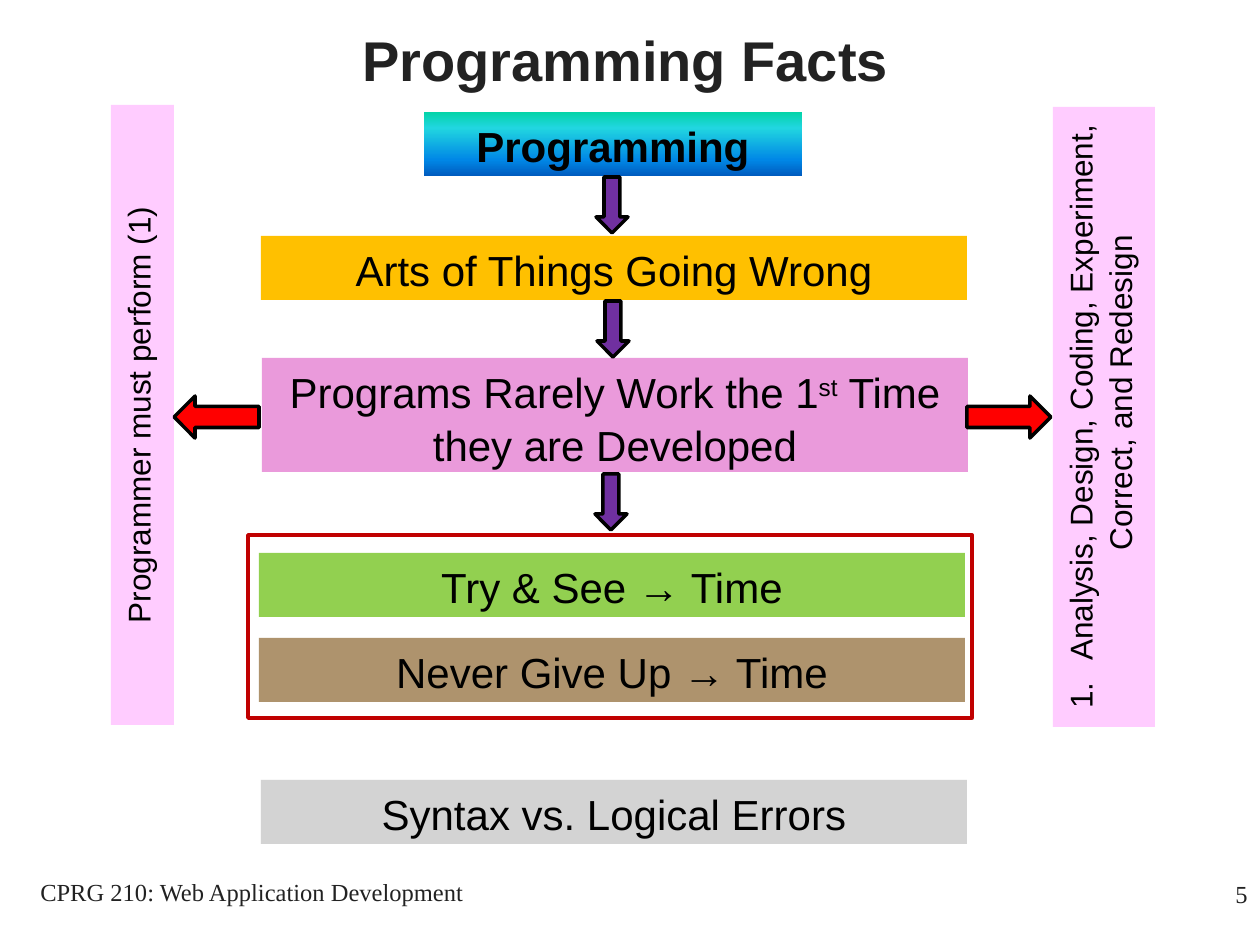
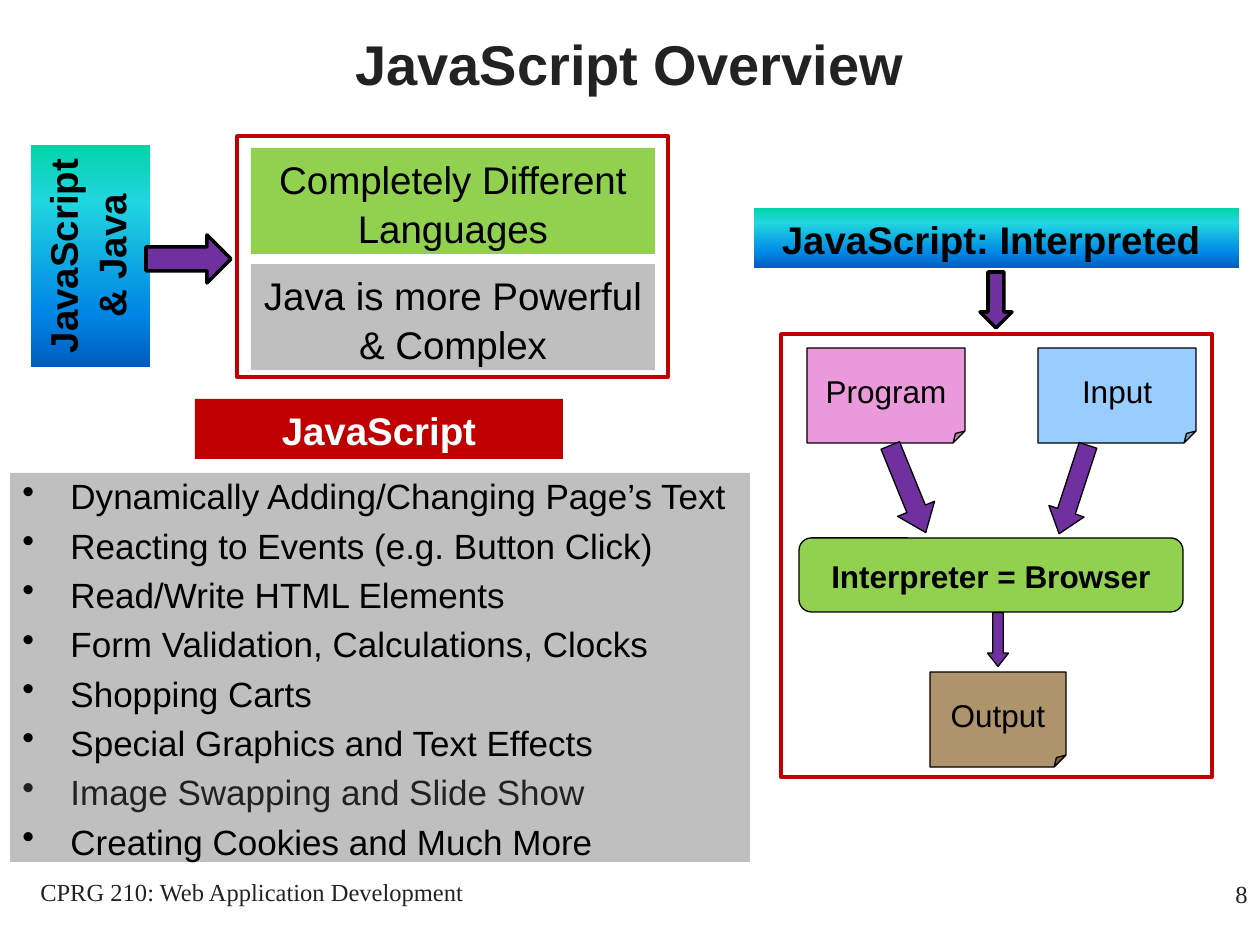
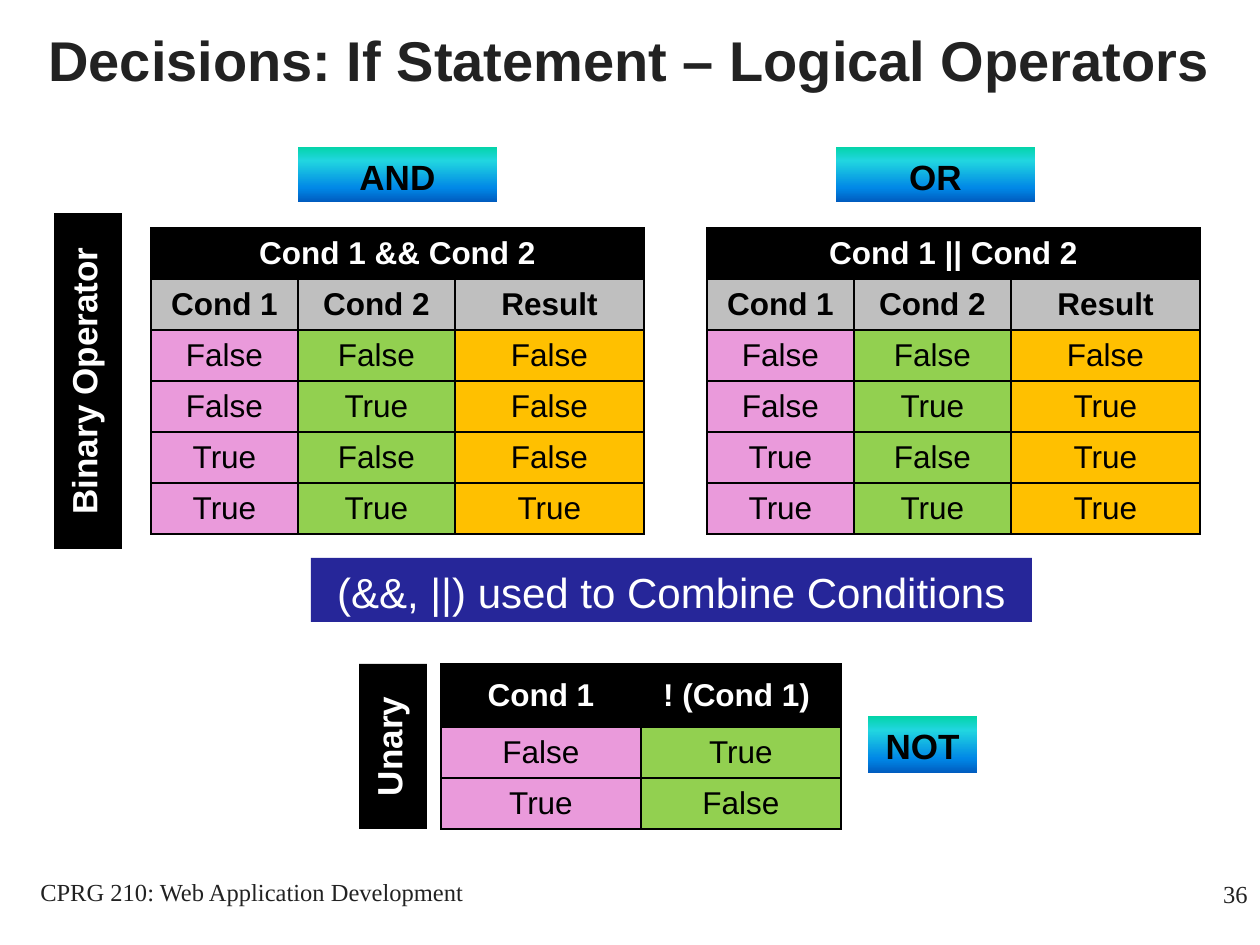
from copy import deepcopy

from lxml import etree
from pptx import Presentation, util as u
from pptx.dml.color import RGBColor
from pptx.enum import shapes, text
from pptx.oxml.ns import qn

PX = 914400 / 126
SLIDE_W, SLIDE_H = 1260, 945

BLACK = RGBColor(0x00, 0x00, 0x00)
WHITE = RGBColor(0xFF, 0xFF, 0xFF)
INK = RGBColor(0x22, 0x22, 0x22)
AMBER = RGBColor(0xFF, 0xC0, 0x00)
ORCHID = RGBColor(0xEA, 0x9A, 0xDB)
GREEN = RGBColor(0x92, 0xD0, 0x50)
BROWN = RGBColor(0x88, 0x61, 0x28)
PINK = RGBColor(0xFF, 0xCC, 0xFF)
GREY = RGBColor(0xBF, 0xBF, 0xBF)
SKY = RGBColor(0x99, 0xCC, 0xFF)
PURPLE = RGBColor(0x70, 0x30, 0xA0)
RED = RGBColor(0xFF, 0x00, 0x00)
CRIMSON = RGBColor(0xC0, 0x00, 0x00)
NAVY = RGBColor(0x26, 0x26, 0x99)
OCEAN = [(0, RGBColor(0x03, 0xD4, 0xA8)), (0.25, RGBColor(0x21, 0xD6, 0xE0)),
         (0.75, RGBColor(0x00, 0x87, 0xE6)), (1, RGBColor(0x00, 0x5C, 0xBF))]
SEE_THROUGH = 68

SANS, SERIF = "Arial", "Times New Roman"
LINE_SPACING = 1.05
COURSE = "CPRG 210: Web Application Development"
KIND = shapes.MSO_SHAPE
MIDDLE = text.MSO_ANCHOR.MIDDLE
CENTER, LEFT, RIGHT = text.PP_ALIGN.CENTER, text.PP_ALIGN.LEFT, text.PP_ALIGN.RIGHT

# Boxes are (left, top, width, height) in px.
FACT_BARS = [
    ("Arts of Things Going Wrong", (261, 236, 706, 64), AMBER, 100),
    ("Try & See → Time", (259, 553, 706, 64), GREEN, 100),
    ("Never Give Up → Time", (259, 638, 706, 64), BROWN, SEE_THROUGH),
    ("Syntax vs. Logical Errors", (261, 780, 706, 64), GREY, SEE_THROUGH),
]
RARELY_WORK = ["Programs Rarely Work the 1", "st", " Time they are Developed"]
FACT_ARROWS = [(596, 177), (597, 301), (595, 474)]
MUST_PERFORM = "Programmer must perform (1)"
STEPS = "Analysis, Design, Coding, Experiment, Correct, and Redesign"

JAVA_BARS = [
    ("Completely Different Languages", GREEN),
    ("Java is more Powerful & Complex", GREY),
]
FEATURES = [
    ("Dynamically Adding/Changing Page’s Text", BLACK),
    ("Reacting to Events (e.g. Button Click)", BLACK),
    ("Read/Write HTML Elements", BLACK),
    ("Form Validation, Calculations, Clocks", BLACK),
    ("Shopping Carts", BLACK),
    ("Special Graphics and Text Effects", BLACK),
    ("Image Swapping and Slide Show", INK),
    ("Creating Cookies and Much More", BLACK),
]
NOTES = [
    ("Program", (807, 348, 158, 95), ORCHID, 100),
    ("Input", (1038, 348, 158, 95), SKY, 100),
    ("Output", (930, 672, 136, 95), BROWN, SEE_THROUGH),
]
FLOW_ARROWS = [((861, 469, 94, 40), 67.8), ((1027, 471, 93, 37), 108.1),
               ((971, 629, 54, 21), 90)]

INPUTS = [("False", "False"), ("False", "True"), ("True", "False"), ("True", "True")]
BINARY = [
    ("AND", (298, 147, 199, 55), (151, 228), "Cond 1 && Cond 2",
     ["False", "False", "False", "True"]),
    ("OR", (836, 147, 199, 55), (707, 228), "Cond 1 || Cond 2",
     ["False", "True", "True", "True"]),
]
NEGATION = [("Cond 1", "! (Cond 1) "), ("False", "True"), ("True", "False")]
SIDE_LABELS = [("Binary Operator", (54, 213, 68, 336)), ("Unary", (359, 664, 68, 165))]
COLUMN_FILLS = [ORCHID, GREEN, AMBER]


def px(*lengths):
    return [u.Emu(round(length * PX)) for length in lengths]


def add_run(paragraph, words, size, color=BLACK, bold=False, face=SANS):
    run = paragraph.add_run()
    run.text = words
    font = run.font
    font.size, font.name, font.bold = u.Pt(size), face, bold
    font.color.rgb = color
    return run


def start_paragraph(frame, align=CENTER, first=True):
    paragraph = frame.paragraphs[0] if first else frame.add_paragraph()
    paragraph.alignment = align
    paragraph.line_spacing = LINE_SPACING
    return paragraph


def add_bullet(paragraph, tag, **attributes):
    """Give the paragraph a hanging bullet or number."""
    props = paragraph._p.get_or_add_pPr()
    indent = px(48)[0]
    props.set("marL", str(indent))
    props.set("indent", str(-indent))
    etree.SubElement(props, qn(tag), attributes)


def paint(shape, fill, opacity):
    if fill is None:
        shape.fill.background()
    elif fill is OCEAN:
        shape.fill.gradient()
        shape.fill.gradient_angle = 270
        stops = shape._element.spPr.find(qn("a:gradFill")).find(qn("a:gsLst"))
        while len(stops) < len(OCEAN):
            stops.append(deepcopy(stops[0]))
        for stop, (position, color) in zip(shape.fill.gradient_stops, OCEAN):
            stop.position, stop.color.rgb = position, color
    else:
        shape.fill.solid()
        shape.fill.fore_color.rgb = fill
        if opacity < 100:
            color = shape._element.spPr.find(qn("a:solidFill"))[0]
            etree.SubElement(color, qn("a:alpha"), val=str(opacity * 1000))


def add_block(slide, kind, box, fill=None, line=None, width=2, opacity=100):
    shape = slide.shapes.add_shape(kind, *px(*box))
    shape.shadow.inherit = False
    paint(shape, fill, opacity)
    if line is None:
        shape.line.fill.background()
    else:
        shape.line.color.rgb = line
        shape.line.width = u.Pt(width)
    return shape


def set_fold(note, share):
    """Size the folded corner, which has no entry in shape.adjustments."""
    guides = note._element.spPr.find(qn("a:prstGeom")).get_or_add_avLst()
    etree.SubElement(guides, qn("a:gd"), name="adj", fmla=f"val {round(share * 100000)}")


def prepare_text(shape, vertical=False, anchor=text.MSO_ANCHOR.TOP, wrap=True):
    frame = shape.text_frame
    frame.word_wrap, frame.vertical_anchor = wrap, anchor
    if vertical:
        frame._txBody.bodyPr.set("vert", "vert270")
    return frame


def add_bar(slide, words, box, fill, size, color=BLACK, bold=False, opacity=100,
            vertical=False):
    bar = add_block(slide, KIND.RECTANGLE, box, fill, opacity=opacity)
    paragraph = start_paragraph(prepare_text(bar, vertical))
    add_run(paragraph, words, size, color, bold)
    return paragraph


def add_node(slide, kind, words, box, fill, opacity=100, bold=False):
    """Thin-outlined part of the interpreter diagram."""
    node = add_block(slide, kind, box, fill, BLACK, 0.75, opacity)
    paragraph = start_paragraph(prepare_text(node, anchor=MIDDLE, wrap=False))
    add_run(paragraph, words, 18, bold=bold)
    return node


def add_down_arrow(slide, left, top):
    add_block(slide, KIND.DOWN_ARROW, (left, top, 32, 56), PURPLE, BLACK)


def add_frame(slide, box):
    add_block(slide, KIND.RECTANGLE, box, line=CRIMSON)


def add_label(slide, words, box, size, align, face, bold=False,
              anchor=text.MSO_ANCHOR.TOP):
    label = slide.shapes.add_textbox(*px(*box))
    paragraph = start_paragraph(prepare_text(label, anchor=anchor), align)
    add_run(paragraph, words, size, INK, bold, face)


def new_slide(deck, title, number, title_box):
    slide = deck.slides.add_slide(deck.slide_layouts[6])
    add_label(slide, title, title_box, 32, CENTER, SANS, True, MIDDLE)
    add_label(slide, COURSE, (0, 869, 504, 63), 14, CENTER, SERIF)
    add_label(slide, str(number), (998, 871, 262, 63), 14, RIGHT, SERIF)
    return slide


def style_cell(cell, words, fill, color, bold):
    cell.fill.solid()
    cell.fill.fore_color.rgb = fill
    cell.vertical_anchor = MIDDLE
    paragraph = cell.text_frame.paragraphs[0]
    paragraph.alignment = CENTER
    if words:
        add_run(paragraph, words, 18, color, bold)
    props = cell._tc.get_or_add_tcPr()
    for place, side in enumerate(("a:lnL", "a:lnR", "a:lnT", "a:lnB")):
        border = etree.Element(qn(side), w=str(u.Pt(1)))
        solid = etree.SubElement(border, qn("a:solidFill"))
        etree.SubElement(solid, qn("a:srgbClr"), val=str(BLACK))
        props.insert(place, border)


def add_truth_table(slide, corner, widths, heights, rows, subheads=0):
    """Black head row, then grey subhead rows, then columns in their own colours."""
    box = (*corner, sum(widths), sum(heights))
    table = slide.shapes.add_table(len(rows), len(widths), *px(*box)).table
    for column, width in zip(table.columns, px(*widths)):
        column.width = width
    for row, height in zip(table.rows, px(*heights)):
        row.height = height
    for r, row in enumerate(rows):
        for c, words in enumerate(row):
            if r == 0:
                look = BLACK, WHITE, True
            elif r <= subheads:
                look = GREY, BLACK, True
            else:
                look = COLUMN_FILLS[c], BLACK, False
            style_cell(table.cell(r, c), words, *look)
    return table


def build_facts(deck):
    slide = new_slide(deck, "Programming Facts", 5, (69, 0, 1113, 116))
    add_bar(slide, "Programming", (424, 112, 378, 64), OCEAN, 24, bold=True)
    for words, box, fill, opacity in FACT_BARS:
        add_bar(slide, words, box, fill, 24, opacity=opacity)
    start, ordinal, rest = RARELY_WORK
    rarely = add_bar(slide, start, (262, 358, 706, 114), ORCHID, 24)
    add_run(rarely, ordinal, 24).font._element.set("baseline", "30000")
    add_run(rarely, rest, 24)
    for left, top in FACT_ARROWS:
        add_down_arrow(slide, left, top)
    add_bar(slide, MUST_PERFORM, (111, 105, 63, 620), PINK, 18, vertical=True)
    steps = add_bar(slide, STEPS, (1053, 107, 102, 620), PINK, 18, vertical=True)
    add_bullet(steps, "a:buAutoNum", type="arabicPeriod")
    add_block(slide, KIND.LEFT_ARROW, (174, 396, 85, 42), RED, BLACK)
    add_block(slide, KIND.RIGHT_ARROW, (967, 396, 84, 42), RED, BLACK)
    add_frame(slide, (248, 535, 724, 183))


def build_overview(deck):
    slide = new_slide(deck, "JavaScript Overview", 8, (73, 0, 1113, 122))
    add_bar(slide, "JavaScript & Java", (31, 145, 119, 222), OCEAN, 22, bold=True,
            vertical=True)
    for i, (words, fill) in enumerate(JAVA_BARS):
        add_bar(slide, words, (251, 148 + 116 * i, 404, 106), fill, 22)
    add_frame(slide, (237, 136, 431, 241))
    add_block(slide, KIND.RIGHT_ARROW, (146, 235, 85, 48), PURPLE, BLACK)

    add_bar(slide, "JavaScript: Interpreted ", (754, 208, 485, 60), OCEAN, 22, bold=True)
    add_node(slide, KIND.ROUNDED_RECTANGLE, "Interpreter = Browser",
             (799, 538, 384, 74), GREEN, bold=True)
    for words, box, fill, opacity in NOTES:
        note = add_node(slide, KIND.FOLDED_CORNER, words, box, fill, opacity)
        set_fold(note, 0.125)
    for box, angle in FLOW_ARROWS:
        arrow = add_block(slide, KIND.RIGHT_ARROW, box, PURPLE, BLACK, 0.75)
        arrow.rotation = angle
        arrow.adjustments[1] = 0.64
    add_frame(slide, (781, 334, 431, 443))
    add_down_arrow(slide, 980, 272)

    add_bar(slide, "JavaScript", (195, 399, 368, 60), CRIMSON, 22, WHITE, True)
    panel = add_block(slide, KIND.RECTANGLE, (10, 473, 740, 389), GREY)
    frame = prepare_text(panel, anchor=MIDDLE)
    for i, (words, color) in enumerate(FEATURES):
        paragraph = start_paragraph(frame, LEFT, first=i == 0)
        paragraph.space_after = u.Pt(3)
        add_bullet(paragraph, "a:buChar", char="•")
        add_run(paragraph, words, 20, color)


def build_operators(deck):
    slide = new_slide(deck, "Decisions: If Statement – Logical Operators", 36,
                      (34, 0, 1191, 116))
    for operator, box, corner, expression, results in BINARY:
        rows = [(expression, "", ""), ("Cond 1", "Cond 2", "Result")]
        rows += [(*pair, result) for pair, result in zip(INPUTS, results)]
        table = add_truth_table(slide, corner, [147, 157, 189], [51] * 6, rows, subheads=1)
        table.cell(0, 0).merge(table.cell(0, 2))
        add_bar(slide, operator, box, OCEAN, 20, bold=True)
    add_truth_table(slide, (441, 664), [200, 200], [63, 51, 51], NEGATION)
    add_bar(slide, "NOT", (868, 716, 109, 57), OCEAN, 20, bold=True)
    for words, box in SIDE_LABELS:
        add_bar(slide, words, box, BLACK, 20, WHITE, True, vertical=True)
    add_bar(slide, "(&&, ||) used to Combine Conditions", (311, 558, 721, 64),
            NAVY, 24, WHITE)


def main():
    deck = Presentation()
    deck.slide_width, deck.slide_height = px(SLIDE_W, SLIDE_H)
    build_facts(deck)
    build_overview(deck)
    build_operators(deck)
    deck.save("out.pptx")


if __name__ == "__main__":
    main()
